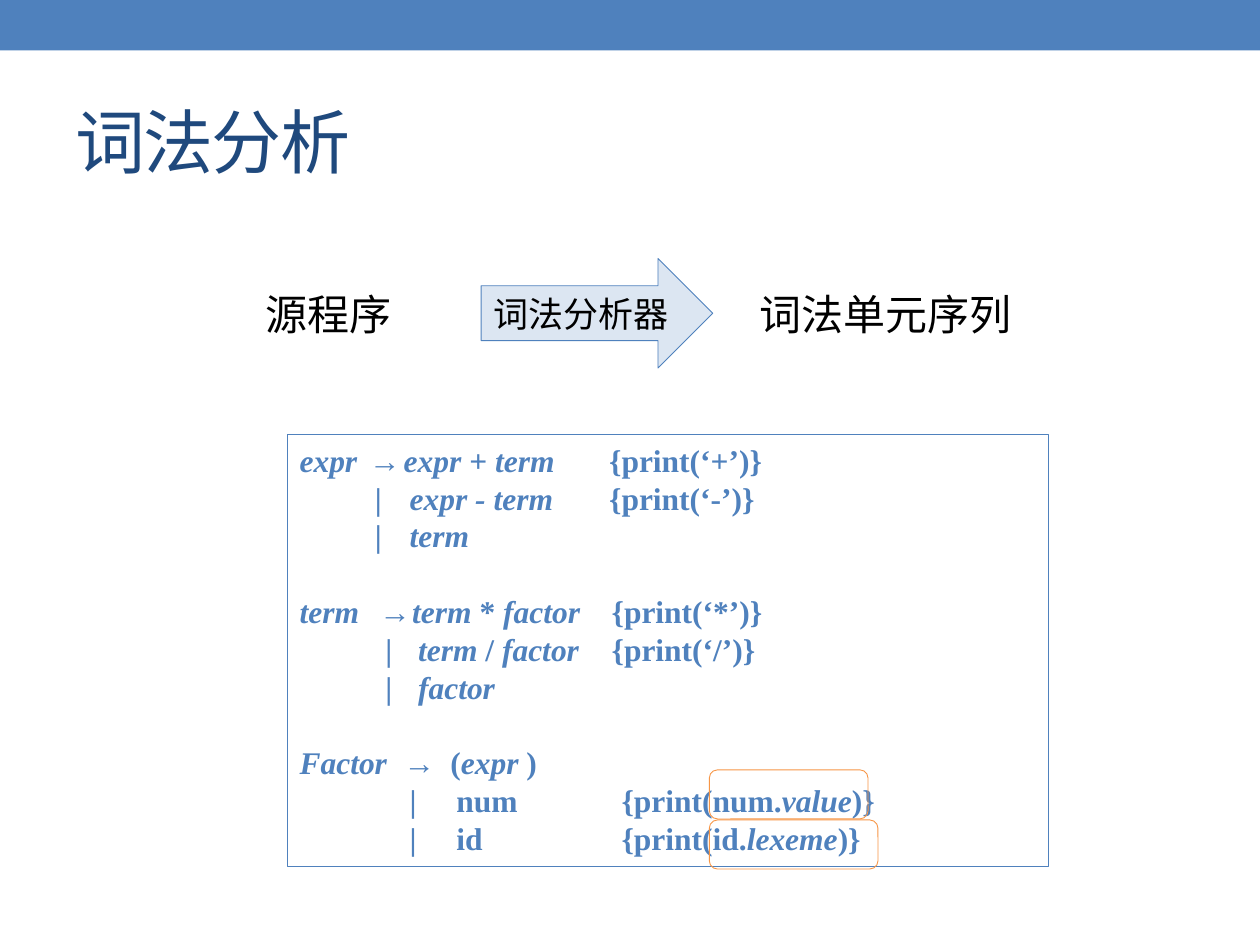
import pptx
import pptx.util
import pptx.dml.color
import pptx.enum.shapes
import pptx.enum.text
import pptx.oxml.ns
from lxml import etree

Cm, Pt = pptx.util.Cm, pptx.util.Pt
KIND = pptx.enum.shapes.MSO_SHAPE
ANCHOR = pptx.enum.text.MSO_ANCHOR
ALIGN = pptx.enum.text.PP_ALIGN
BLUE, NAVY, PALE, ORANGE, BLACK = "4F81BD", "1F497D", "DCE6F2", "F79646", "000000"
SERIF = "Times New Roman"

# Each group: tab stops in cm (sign, body, action), then its rows.
# Words between underscores are italic.
RULES = [
    ((1.4, 2.1, 6.24), [
        "_expr_\t→\t_expr_ + _term_\t{print(‘+’)}",
        "\t|\t_expr - term_\t{print(‘-’)}",
        "\t|\t_term_"]),
    ((1.61, 2.27, 6.29), [
        "_term_\t→\t_term_ * _factor_\t{print(‘*’)}",
        "\t|\t_term_ / _factor_\t{print(‘/’)}",
        "\t|\t_factor_"]),
    ((2.1, 3.04, 6.49), [
        "_Factor_\t→\t(_expr_ )",
        "\t|\tnum\t{print(num._value_)}",
        "\t|\tid\t{print(id._lexeme_)}"]),
]


def color(code):
    return pptx.dml.color.RGBColor.from_string(code)


def assign(item, values):
    for name, value in values.items():
        setattr(item, name, value)


def write(para, text, size, code, font=SERIF, **more):
    run = para.add_run()
    run.text = text
    assign(run.font, dict(size=Pt(size), name=font, **more))
    run.font.color.rgb = color(code)
    return run


def shape(slide, kind, box, fill=None, line=None):
    item = slide.shapes.add_shape(kind, *map(Cm, box))
    item.shadow.inherit = False
    if fill:
        item.fill.solid()
        item.fill.fore_color.rgb = color(fill)
    else:
        item.fill.background()
    if line:
        item.line.color.rgb = color(line)
        item.line.width = Pt(0.5)
    else:
        item.line.fill.background()
    return item


def label(slide, box, text, font):
    item = slide.shapes.add_textbox(*map(Cm, box))
    item.text_frame.word_wrap = True
    write(item.text_frame.paragraphs[0], text, 24, BLACK, font)


def stops(para, places):
    props = para._p.get_or_add_pPr()
    tabs = etree.SubElement(props, pptx.oxml.ns.qn("a:tabLst"))
    for place in places:
        etree.SubElement(tabs, pptx.oxml.ns.qn("a:tab"),
                         pos=str(Cm(place)), algn="l")


def header(slide, x, y, w, h):
    # Top band and title
    shape(slide, KIND.RECTANGLE, (x, y, w, 1.02), BLUE)
    title = slide.shapes.title
    assign(title, dict(left=Cm(x + 1.27), top=Cm(y + 1.47),
                       width=Cm(w - 2.54), height=Cm(h - 1.47)))
    title.text_frame.vertical_anchor = ANCHOR.MIDDLE
    para = title.text_frame.paragraphs[0]
    para.alignment = ALIGN.LEFT
    run = write(para, "词法分析", 40, NAVY)
    run.font._element.set("spc", "-100")


def flow(slide, x, y, w, h):
    # Source, analyser arrow, result
    label(slide, (x, y + 0.48, 4.5, 1.27), "源程序", SERIF)
    arrow = shape(slide, KIND.RIGHT_ARROW, (x + 4.59, y, 4.67, h), PALE, BLUE)
    frame = arrow.text_frame
    assign(frame, dict(word_wrap=False, vertical_anchor=ANCHOR.MIDDLE))
    para = frame.paragraphs[0]
    para.alignment = ALIGN.LEFT
    write(para, "词法分析器", 20, BLACK)
    label(slide, (x + 9.96, y + 0.48, w - 9.96, 1.27), "词法单元序列", "Arial")


def grammar(slide, x, y, w, h):
    # Framed rules with their actions
    frame = shape(slide, KIND.RECTANGLE, (x, y, w, h), line=BLUE).text_frame
    assign(frame, dict(word_wrap=True, vertical_anchor=ANCHOR.TOP))
    para = frame.paragraphs[0]
    for group, ((sign, body, action), rows) in enumerate(RULES):
        for index, row in enumerate(rows):
            if group or index:
                para = frame.add_paragraph()
            gap = 21.6 if group and index == 0 else 0
            assign(para, dict(alignment=ALIGN.LEFT, line_spacing=Pt(21.6),
                              space_before=Pt(gap)))
            shift = 0.12 if index else 0
            stops(para, (sign + shift, body + shift, action))
            for turn, part in enumerate(row.split("_")):
                if part:
                    write(para, part, 18, BLUE, bold=True, italic=turn % 2 == 1)
    # Marks around the token attributes
    for index, width in enumerate((3.2, 3.4)):
        shape(slide, KIND.ROUNDED_RECTANGLE,
              (x + 8.51, y + 6.76 + index * 1.01, width, 0.99), line=ORANGE)


def main():
    deck = pptx.Presentation()
    assign(deck, dict(slide_width=Cm(25.4), slide_height=Cm(19.05)))
    slide = deck.slides.add_slide(deck.slide_layouts[5])
    header(slide, 0, 0, 25.4, 4.21)
    grammar(slide, 5.79, 8.76, 15.34, 8.71)
    flow(slide, 5.11, 5.21, 15.6, 2.21)
    deck.save("out.pptx")


if __name__ == "__main__":
    main()
